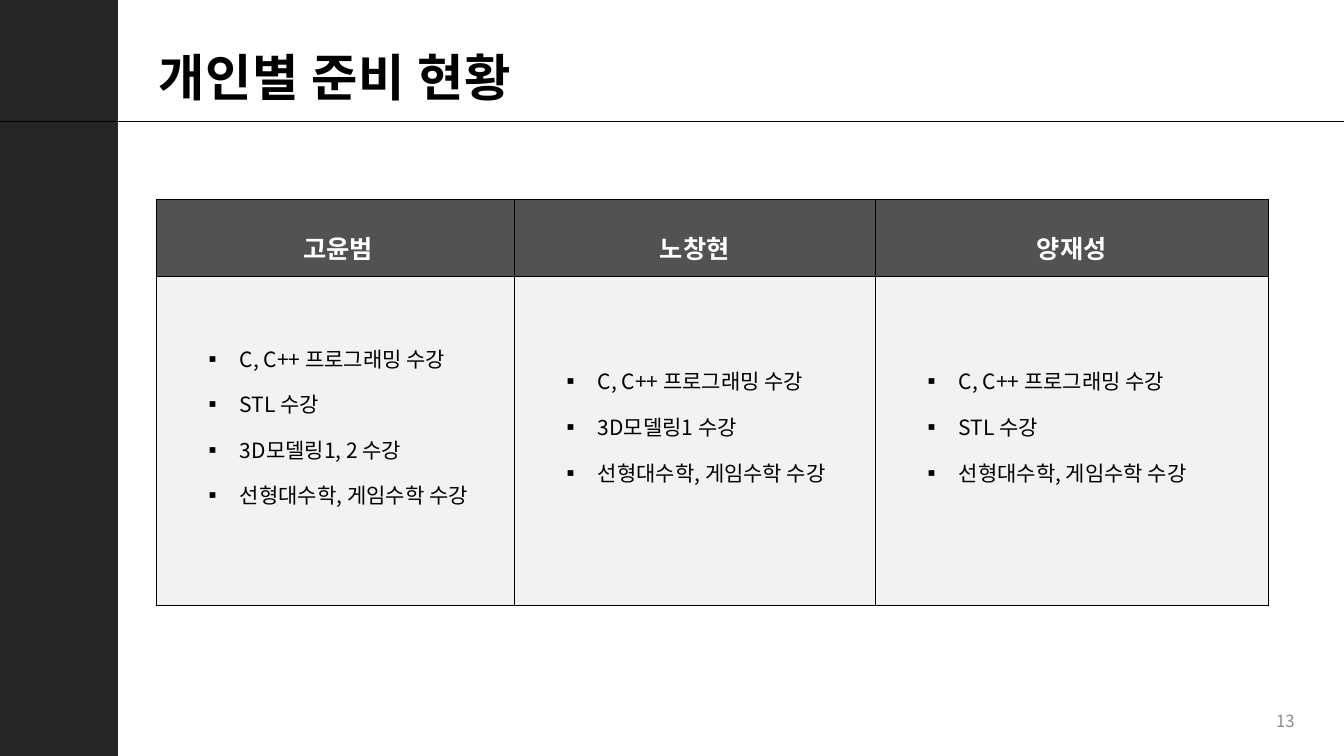
from lxml.etree import SubElement
from pptx import Presentation
from pptx.dml.color import RGBColor
from pptx.enum.shapes import MSO_CONNECTOR, MSO_SHAPE
from pptx.enum.text import MSO_ANCHOR as Anchor, PP_ALIGN as Align
from pptx.oxml.ns import qn
from pptx.util import Inches, Pt

FONT = "Noto Sans CJK KR"
BLACK = "000000"


def paint(color_format, color):
    color_format.rgb = RGBColor.from_string(color)


def style(paragraph, size, color, bold=False, spacing=1.0, align=Align.LEFT, tracking=0):
    paragraph.alignment = align
    paragraph.line_spacing = spacing
    for run in paragraph.runs:
        run.font.name = FONT
        run.font.size = Pt(size)
        run.font.bold = bold
        paint(run.font.color, color)
        run_properties = run._r.get_or_add_rPr()
        run_properties.set("spc", str(tracking))
        SubElement(run_properties, qn("a:ea"), typeface=FONT)


presentation = Presentation()
presentation.slide_width = Inches(13.33)
presentation.slide_height = Inches(7.5)
slide = presentation.slides.add_slide(presentation.slide_layouts[6])

sidebar = slide.shapes.add_shape(
    MSO_SHAPE.RECTANGLE, 0, 0, Inches(1.16), presentation.slide_height)
sidebar.shadow.inherit = False
sidebar.fill.solid()
paint(sidebar.fill.fore_color, "262626")
paint(sidebar.line.color, "262626")
sidebar.line.width = Pt(1)

title_rule = slide.shapes.add_connector(
    MSO_CONNECTOR.STRAIGHT, 0, Inches(1.2), presentation.slide_width, Inches(1.2))
paint(title_rule.line.color, BLACK)
title_rule.line.width = Pt(0.5)
SubElement(title_rule._element.spPr, qn("a:effectLst"))

labels = [
    ("13", (9.94, 6.95, 3, 0.4), 12, "8C8C8C", False, 1.0, Align.RIGHT),
    ("개인별 준비 현황", (1.47, 0.4, 11.11, 0.8), 36, BLACK, True, 0.9, Align.LEFT, 50),
]
for text, box, *look in labels:
    label = slide.shapes.add_textbox(*[Inches(length) for length in box])
    text_frame = label.text_frame
    text_frame.word_wrap = True
    text_frame.vertical_anchor = Anchor.MIDDLE
    text_frame.text = text
    style(text_frame.paragraphs[0], *look)

members = {
    " 고윤범": ["C, C++ 프로그래밍 수강", "STL 수강", "3D모델링1, 2 수강",
             "선형대수학, 게임수학 수강"],
    "노창현": ["C, C++ 프로그래밍 수강", "3D모델링1 수강", "선형대수학, 게임수학 수강"],
    "양재성": ["C, C++ 프로그래밍 수강", "STL 수강", "선형대수학, 게임수학 수강"],
}
column_widths = [3.55, 3.58, 3.9]
row_heights = [0.76, 3.27]
table = slide.shapes.add_table(
    len(row_heights), len(members), Inches(1.55), Inches(1.98),
    Inches(sum(column_widths)), Inches(sum(row_heights))).table
for column, width in zip(table.columns, column_widths):
    column.width = Inches(width)
for row, height in zip(table.rows, row_heights):
    row.height = Inches(height)

for column_index, (name, courses) in enumerate(members.items()):
    header, body = [table.cell(row_index, column_index) for row_index in range(2)]
    for cell, color, bottom in ((header, "525252", 0), (body, "F2F2F2", 0.46)):
        properties = cell._tc.get_or_add_tcPr()
        for side in "LRTB":
            border = SubElement(properties, qn(f"a:ln{side}"), w=str(Pt(1)))
            border_fill = SubElement(border, qn("a:solidFill"))
            SubElement(border_fill, qn("a:srgbClr"), val=BLACK)
        cell.fill.solid()
        paint(cell.fill.fore_color, color)
        cell.vertical_anchor = Anchor.MIDDLE
        cell.margin_left = cell.margin_right = cell.margin_top = Inches(0.02)
        cell.margin_bottom = Inches(bottom)

    header.text_frame.text = name
    style(header.text_frame.paragraphs[0], 18, "FFFFFF", True, 1.5, Align.CENTER)

    body.text_frame.text = "\n".join(courses)
    for paragraph in body.text_frame.paragraphs:
        paragraph.level = 1
        style(paragraph, 15, BLACK, spacing=1.5)
        bullet_properties = paragraph._p.get_or_add_pPr()
        bullet_properties.set("marL", str(Inches(0.81)))
        bullet_properties.set("indent", str(Inches(-0.37)))
        SubElement(bullet_properties, qn("a:buFont"), typeface=FONT)
        SubElement(bullet_properties, qn("a:buChar"), char="▪")

presentation.save("out.pptx")
